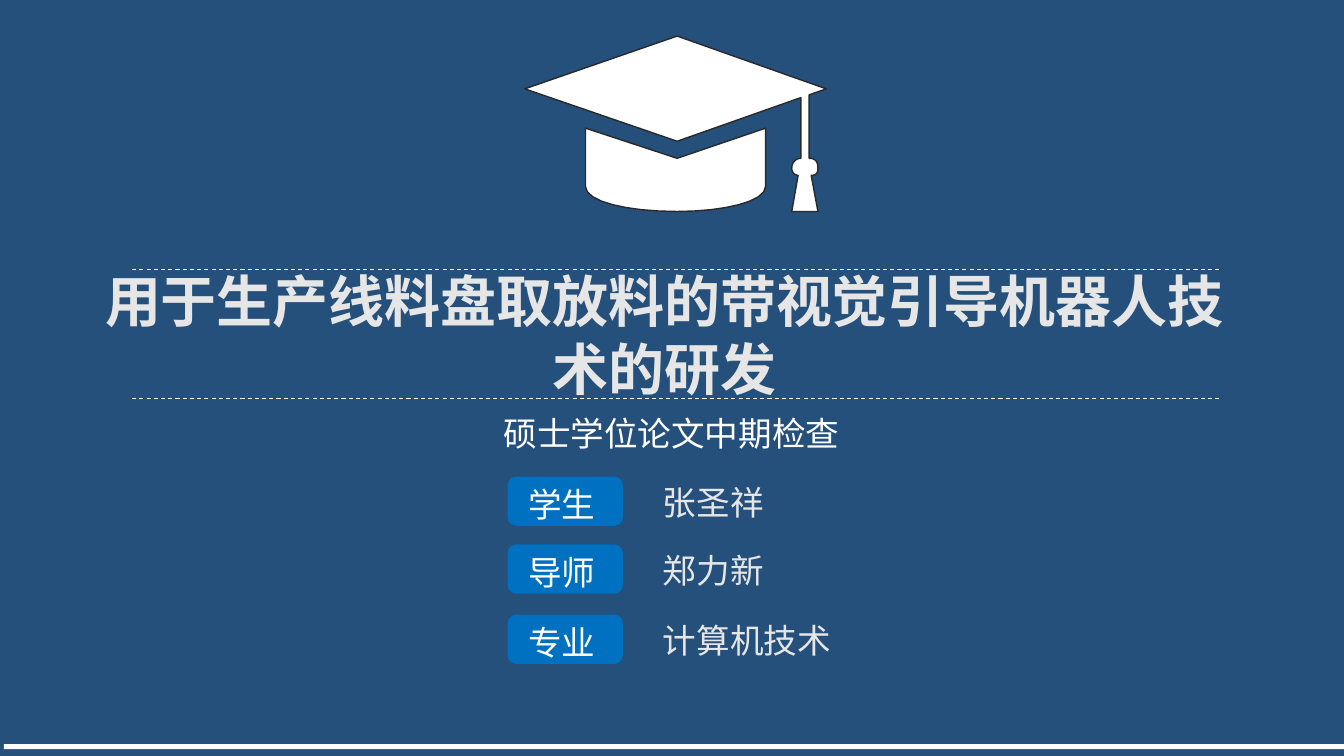
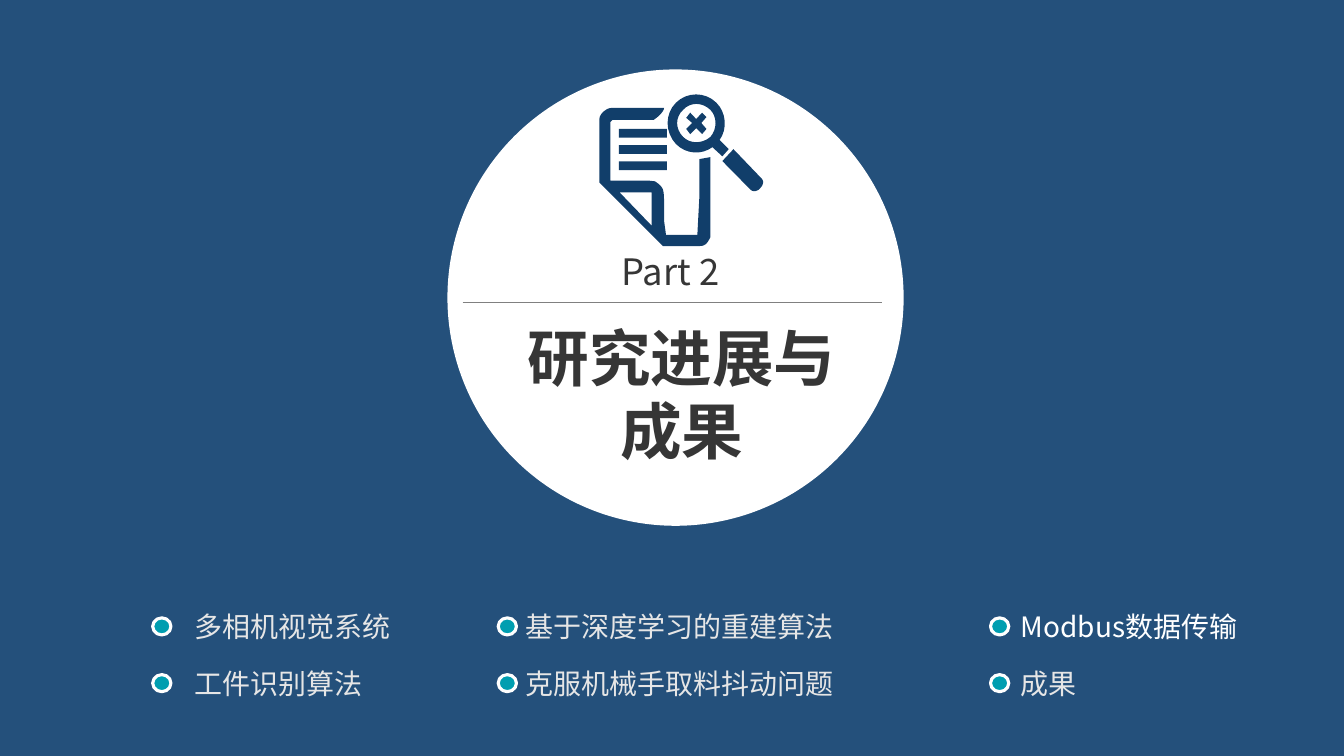
"""Build the cover and the Part 2 section slide of a thesis mid-term review."""
from lxml.etree import SubElement
from pptx import Presentation
from pptx.dml.color import RGBColor
from pptx.enum.dml import MSO_LINE
from pptx.enum.shapes import MSO_CONNECTOR, MSO_SHAPE
from pptx.enum.text import MSO_ANCHOR, MSO_AUTO_SIZE, PP_ALIGN
from pptx.oxml.ns import qn
from pptx.util import Cm, Pt

COLOURS = {
    "background": "24507B", "white": "FFFFFF", "pale": "E6E6E6", "dark": "363636",
    "outline": "292929", "rule": "808080", "label": "0070C0", "dot": "009EB0", "icon": "113E6A",
}
CJK_FONT = "Noto Sans CJK SC"
LATIN_FONT = "Arial"
MARGINS = (0.25, 0.13, 0.25, 0.13)

COVER_TITLE = "用于生产线料盘取放料的带视觉引导机器人技术的研发"
COVER_SUBTITLE = "硕士学位论文中期检查"
DETAILS = [("学生", "张圣祥", 12.01), ("导师", "郑力新", 13.72), ("专业", "计算机技术", 15.49)]

PART = "Part 2"
PART_TITLE = "研究进展与成果"
TOPICS = [
    (4.08, 4.65, 7, [("多相机视觉系统", "pale"), ("工件识别算法", "pale")]),
    (12.79, 13.0, 10, [("基于深度学习的重建算法", "pale"), ("克服机械手取料抖动问题", "pale")]),
    (25.2, 25.48, 7, [("Modbus数据传输", "white"), ("成果", "pale")]),
]
TOPIC_TOP, TOPIC_PITCH = 15.24, 1.43

BOARD_AND_TASSEL = [
    (20.62, 4.24), (20.62, 4.09, 20.57, 3.99, 20.4, 3.99), (20.4, 2.39), (20.83, 2.24),
    (17.07, 0.91), (13.23, 2.24), (17.07, 3.56), (20.19, 2.46), (20.19, 3.99),
    (20.07, 3.99, 19.96, 4.09, 19.96, 4.24), (19.96, 4.37, 20.07, 4.42, 20.12, 4.42),
    (19.96, 5.33), (20.62, 5.33), (20.45, 4.42), (20.57, 4.42, 20.62, 4.37, 20.62, 4.24),
]
CAP_BODY = [
    (14.76, 3.23), (14.76, 4.7), (14.76, 5.08, 15.8, 5.33, 17.07, 5.33),
    (18.26, 5.33, 19.3, 5.08, 19.3, 4.7), (19.3, 3.23), (17.07, 3.99),
]
PAGE = [
    (15.11, 3.0), (15.11, 4.6), (16.71, 6.2), (17.65, 6.2),
    (17.81, 6.2, 17.86, 6.07, 17.91, 5.97), (17.91, 3.96), (17.63, 4.01), (17.63, 4.98),
    (17.58, 5.92), (16.79, 5.92), (16.74, 5.56), (16.74, 5.16),
    (16.74, 4.78, 16.74, 4.72, 16.51, 4.57), (16.33, 4.55), (15.39, 4.55), (15.39, 3.07),
    (15.44, 3.02), (16.48, 3.02), (16.56, 2.97, 16.74, 2.82, 16.74, 2.72), (15.42, 2.72),
    (15.29, 2.72, 15.11, 2.87, 15.11, 3.0),
]
PAGE_FOLD = [(16.43, 5.69), (16.43, 4.85), (15.62, 4.85)]
PAGE_LINES = [[(15.6, top), (16.81, top), (16.81, top + 0.22), (15.6, top + 0.22)]
              for top in (3.25, 3.66, 4.07)]
LENS_RIM = [
    (17.04, 2.59), (17.32, 2.31, 17.78, 2.31, 18.06, 2.59),
    (18.31, 2.84, 18.34, 3.25, 18.14, 3.53), (18.37, 3.76), (18.21, 3.94), (17.96, 3.71),
    (17.68, 3.91, 17.3, 3.89, 17.04, 3.63), (16.76, 3.33, 16.76, 2.87, 17.04, 2.59),
]
LENS_GLASS = [
    (17.22, 2.77), (17.4, 2.57, 17.7, 2.57, 17.91, 2.77),
    (18.08, 2.95, 18.08, 3.25, 17.91, 3.45), (17.7, 3.63, 17.4, 3.63, 17.22, 3.45),
    (17.02, 3.25, 17.02, 2.95, 17.22, 2.77),
]
LENS_CROSS = [
    (17.45, 3.1), (17.3, 2.97), (17.4, 2.84), (17.55, 3.0), (17.7, 2.84), (17.81, 2.95),
    (17.68, 3.1), (17.81, 3.25), (17.7, 3.38), (17.55, 3.23), (17.4, 3.38), (17.3, 3.25),
]
LENS_HANDLE = [
    (18.49, 3.76), (19.2, 4.5), (19.25, 4.55, 19.25, 4.62, 19.2, 4.7), (19.13, 4.78),
    (19.05, 4.83, 18.97, 4.83, 18.92, 4.78), (18.21, 4.06),
]


def colour(name):
    """Return the named palette colour."""
    return RGBColor.from_string(COLOURS[name])


def place(shape, left, top, width, height):
    """Move and size a shape in centimetres."""
    shape.left, shape.top, shape.width, shape.height = map(Cm, (left, top, width, height))


def write(shape, text, size, ink, font=CJK_FONT, bold=False, align=PP_ALIGN.LEFT,
          anchor=MSO_ANCHOR.TOP, margins=MARGINS, wrap=True):
    """Fill a shape with one formatted run."""
    frame = shape.text_frame
    frame.auto_size = MSO_AUTO_SIZE.NONE
    frame.word_wrap = wrap
    frame.vertical_anchor = anchor
    frame.margin_left, frame.margin_top, frame.margin_right, frame.margin_bottom = map(Cm, margins)
    paragraph = frame.paragraphs[0]
    paragraph.alignment = align
    paragraph.space_before = Pt(0)
    run = paragraph.add_run()
    run.text = text
    run.font.size = Pt(size)
    run.font.bold = bold
    run.font.color.rgb = colour(ink)
    run.font.name = font
    SubElement(run.font._element, qn("a:ea"), typeface=CJK_FONT)


def add_text(slide, box, text, size, ink, **style):
    """Add a text box."""
    write(slide.shapes.add_textbox(*map(Cm, box)), text, size, ink, **style)


def paint(shape, fill, line=None, width=1.0):
    """Set fill and outline, without a shadow."""
    shape.shadow.inherit = False
    shape.fill.solid()
    shape.fill.fore_color.rgb = colour(fill)
    if line:
        shape.line.color.rgb = colour(line)
        shape.line.width = Pt(width)
    else:
        shape.line.fill.background()


def add_shape(slide, kind, box, fill, line=None, width=1.0):
    """Add a painted preset shape."""
    shape = slide.shapes.add_shape(kind, *map(Cm, box))
    paint(shape, fill, line, width)
    return shape


def add_rule(slide, left, right, top, ink, width, dash=None):
    """Add a horizontal line."""
    rule = slide.shapes.add_connector(
        MSO_CONNECTOR.STRAIGHT, Cm(left), Cm(top), Cm(right), Cm(top))
    rule.line.color.rgb = colour(ink)
    rule.line.width = Pt(width)
    if dash:
        rule.line.dash_style = dash
    SubElement(rule._element.spPr, qn("a:effectLst"))


def flatten(contour, steps=8):
    """Turn lines and cubic curves into points."""
    points = [contour[0]]
    for segment in contour[1:]:
        if len(segment) == 2:
            points.append(segment)
            continue
        controls = [points[-1], segment[:2], segment[2:4], segment[4:]]
        for step in range(1, steps + 1):
            t = step / steps
            weights = ((1 - t) ** 3, 3 * t * (1 - t) ** 2, 3 * t * t * (1 - t), t ** 3)
            points.append(tuple(
                sum(weight * control[axis] for weight, control in zip(weights, controls))
                for axis in (0, 1)))
    return [(Cm(x), Cm(y)) for x, y in points]


def add_outline(slide, contours, fill, line=None):
    """Add one freeform made of closed contours."""
    outlines = [flatten(contour) for contour in contours]
    builder = slide.shapes.build_freeform(*outlines[0][0])
    for index, points in enumerate(outlines):
        if index:
            builder.move_to(*points[0])
        builder.add_line_segments(points[1:], close=True)
    paint(builder.convert_to_shape(), fill, line)


def build_cover(presentation):
    """Build the cover slide."""
    slide = presentation.slides.add_slide(presentation.slide_layouts[0])
    title, subtitle = slide.placeholders
    centred = {"align": PP_ALIGN.CENTER, "anchor": MSO_ANCHOR.MIDDLE}
    place(title, 1.85, 6.78, 29.79, 3.28)
    write(title, COVER_TITLE, 40, "pale", bold=True, **centred)
    place(subtitle, 2.03, 10.46, 29.79, 0.89)
    write(subtitle, COVER_SUBTITLE, 24, "white", **centred)
    for top in (6.78, 10.03):
        add_rule(slide, 3.33, 30.73, top, "white", 0.75, MSO_LINE.DASH)
    add_outline(slide, [BOARD_AND_TASSEL, CAP_BODY], "white", "outline")
    for label, value, top in DETAILS:
        badge = add_shape(slide, MSO_SHAPE.ROUNDED_RECTANGLE, (12.8, top, 2.9, 1.24), "label")
        write(badge, label, 24, "white", font=LATIN_FONT, margins=(0.46, 0.13, 0.25, 0.13))
        add_text(slide, (16.46, top, 5.31, 1.27), value, 24, "pale", font=LATIN_FONT)
    add_shape(slide, MSO_SHAPE.RECTANGLE, (0.1, 18.75, 33.78, 0.13), "white")


def build_section(presentation):
    """Build the section slide."""
    slide = presentation.slides.add_slide(presentation.slide_layouts[5])
    add_shape(slide, MSO_SHAPE.OVAL, (11.28, 1.75, 11.5, 11.5), "white")
    add_rule(slide, 11.66, 22.23, 7.62, "rule", 1)
    title = slide.shapes.title
    slide.shapes.element.append(title.element)
    place(title, 12.78, 7.92, 8.81, 3.99)
    write(title, PART_TITLE, 44, "dark", bold=True, align=PP_ALIGN.CENTER)
    add_text(slide, (15.67, 6.27, 2.54, 1.09), PART, 26, "dark", margins=(0, 0, 0, 0), wrap=False)
    add_outline(slide, [PAGE, PAGE_FOLD, *PAGE_LINES, LENS_RIM, LENS_GLASS, LENS_CROSS,
                        LENS_HANDLE], "icon")
    for dot_centre, text_left, text_width, topics in TOPICS:
        for row, (topic, ink) in enumerate(topics):
            top = TOPIC_TOP + row * TOPIC_PITCH
            add_shape(slide, MSO_SHAPE.OVAL, (dot_centre - 0.23, top + 0.33, 0.46, 0.43),
                      "dot", "white", 2.25)
            add_text(slide, (text_left, top, text_width, 1.12), topic, 20, ink)


def main():
    """Create and save the presentation."""
    presentation = Presentation()
    presentation.slide_width, presentation.slide_height = Cm(33.88), Cm(19.05)
    background = presentation.slide_master.background.fill
    background.solid()
    background.fore_color.rgb = colour("background")
    build_cover(presentation)
    build_section(presentation)
    presentation.save("out.pptx")


if __name__ == "__main__":
    main()
